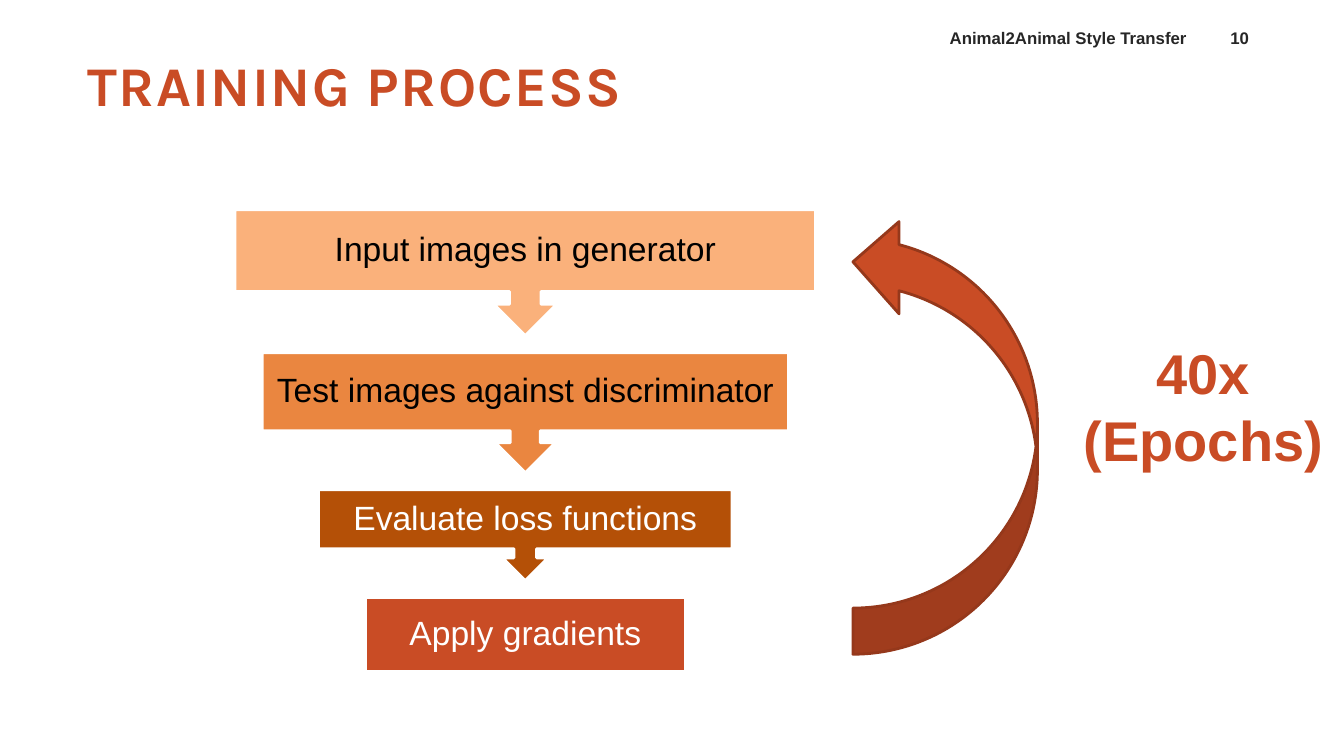
from dataclasses import dataclass
from pptx import Presentation
from pptx.dml.color import RGBColor
from pptx.enum.shapes import MSO_SHAPE
from pptx.enum.text import MSO_ANCHOR, PP_ALIGN
from pptx.util import Inches, Pt


@dataclass(frozen=True)
class Theme:
    body: str = "Arial"
    head: str = "Karla"
    accent: str = "C94C25"
    edge: str = "95381B"
    ink: str = "262626"
    black: str = "000000"
    white: str = "FFFFFF"
    peach: str = "FAB17B"
    orange: str = "EA8640"
    brown: str = "B45007"
    small: int = 12
    mid: int = 24
    big: int = 40


THEME = Theme()


def write(shape, text, size=THEME.mid, color=THEME.ink, font=THEME.body,
          bold=False, align=PP_ALIGN.CENTER, anchor=MSO_ANCHOR.MIDDLE,
          pad=(0.1, 0.05), leading=None, track=None):
    frame = shape.text_frame
    frame.word_wrap = True
    frame.vertical_anchor = anchor
    frame.margin_left = frame.margin_right = Inches(pad[0])
    frame.margin_top = frame.margin_bottom = Inches(pad[1])
    para = frame.paragraphs[0]
    para.alignment = align
    if leading:
        para.line_spacing = leading
    run = para.add_run()
    run.text = text
    run.font.size = Pt(size)
    run.font.name = font
    run.font.bold = bold
    run.font.color.rgb = RGBColor.from_string(color)
    if track:
        run.font._element.set("spc", str(track))


def label(slide, box, text, **style):
    shape = slide.shapes.add_textbox(*map(Inches, box))
    write(shape, text, **style)


def block(slide, kind, box, fill, line):
    shape = slide.shapes.add_shape(kind, *map(Inches, box))
    shape.shadow.inherit = False
    shape.fill.solid()
    shape.fill.fore_color.rgb = RGBColor.from_string(fill)
    shape.line.color.rgb = RGBColor.from_string(line)
    shape.line.width = Pt(2)
    return shape


def header(slide, left, top, width):
    # Running title and page number, set from the right edge
    page = 0.73
    right = left + width
    style = dict(size=THEME.small, bold=True, anchor=MSO_ANCHOR.BOTTOM)
    label(slide, (right - page - 3.49, top, 3.43, 0.33),
          "Animal2Animal Style Transfer", align=PP_ALIGN.RIGHT, **style)
    label(slide, (right - page, top, page, 0.33), "10", **style)
    # Slide title
    label(slide, (left + 0.2, top + 0.21, 6.91, 0.87), "TRAINING PROCESS",
          size=THEME.big, color=THEME.accent, font=THEME.head, bold=True,
          align=PP_ALIGN.LEFT, pad=(0, 0.05), track=100)


def funnel(slide, left, top, width):
    # Steps share one centre line: text, width, height, fill, ink
    steps = [
        ("Input images in generator", 5.76, 1.25, THEME.peach, THEME.black),
        ("Test images against discriminator", 5.22, 1.19, THEME.orange, THEME.black),
        ("Evaluate loss functions", 4.1, 0.9, THEME.brown, THEME.white),
        ("Apply gradients", 3.17, 0.73, THEME.accent, THEME.white),
    ]
    gap = 0.17
    for text, wide, high, fill, ink in steps:
        last = text == steps[-1][0]
        kind = MSO_SHAPE.RECTANGLE if last else MSO_SHAPE.DOWN_ARROW_CALLOUT
        box = (left + (width - wide) / 2, top, wide, high)
        step = block(slide, kind, box, fill, THEME.white)
        write(step, text, color=ink, leading=0.9)
        top += high + gap


def loop(slide, left, top, width, height):
    # Return arrow: laid flat about its centre, then turned upright
    flat = (left + (width - height) / 2, top + (height - width) / 2,
            height, width)
    arrow = block(slide, MSO_SHAPE.CURVED_UP_ARROW, flat,
                  THEME.accent, THEME.edge)
    arrow.rotation = 270
    # Repeat count beside the arrow
    label(slide, (left + width + 0.27, top + 1.16, 2.75, 1.45),
          "40x (Epochs)", size=THEME.big, color=THEME.accent, bold=True)


def main():
    deck = Presentation()
    deck.slide_width = Inches(13.33)
    deck.slide_height = Inches(7.5)
    slide = deck.slides.add_slide(deck.slide_layouts[6])
    header(slide, 0.67, 0.19, 11.99)
    funnel(slide, 2.33, 2.08, 5.76)
    loop(slide, 8.46, 2.14, 1.83, 4.35)
    deck.save("out.pptx")


if __name__ == "__main__":
    main()
